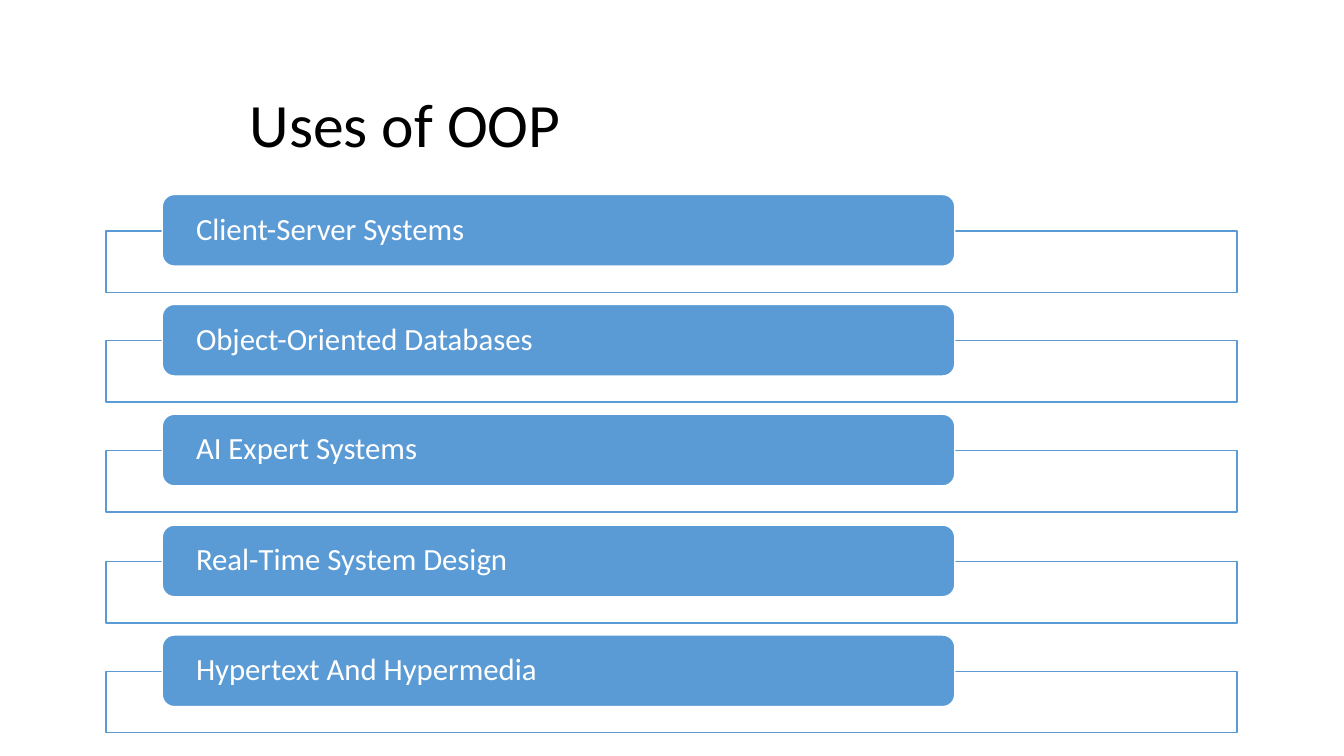
from dataclasses import dataclass

import pptx
import pptx.dml.color
import pptx.enum.shapes
import pptx.enum.text
import pptx.oxml
import pptx.oxml.ns
import pptx.util

PX = 9144
BLUE = "5B9BD5"
WHITE = "FFFFFF"
BLACK = "000000"
ROW_PITCH = 109.25
SHAPE = pptx.enum.shapes.MSO_SHAPE
ALIGN = pptx.enum.text.PP_ALIGN
ANCHOR = pptx.enum.text.MSO_ANCHOR


@dataclass
class Box:
    left: int
    top: int
    width: int
    height: int

    def emu(self) -> tuple:
        return tuple(n * PX for n in (self.left, self.top, self.width, self.height))

    def lowered(self, distance: int) -> "Box":
        return Box(self.left, self.top + distance, self.width, self.height)


@dataclass
class Use:
    name: str
    row: int


TITLE = Box(137, 30, 530, 135)
FRAME = Box(105, 229, 1122, 61)
PILL = Box(161, 193, 786, 71)
USES = [Use(name, row) for row, name in enumerate((
    "Client-Server Systems",
    "Object-Oriented Databases",
    "AI Expert Systems",
    "Real-Time System Design",
    "Hypertext And Hypermedia",
))]


def rgb(value: str) -> pptx.dml.color.RGBColor:
    return pptx.dml.color.RGBColor.from_string(value)


def write(sp, text: str, *, size: int, color: str, align=ALIGN.LEFT,
          anchor=ANCHOR.MIDDLE, insets: tuple = (10, 5, 10, 5)) -> None:
    tf = sp.text_frame
    tf.word_wrap = True
    tf.auto_size = pptx.enum.text.MSO_AUTO_SIZE.NONE
    tf.vertical_anchor = anchor
    tf.margin_left, tf.margin_top, tf.margin_right, tf.margin_bottom = (
        n * PX for n in insets)
    p = tf.paragraphs[0]
    p.alignment = align
    p.line_spacing = 0.9
    r = p.add_run()
    r.text = text
    r.font.name = "Calibri"
    r.font.size = pptx.util.Pt(size)
    r.font.color.rgb = rgb(color)


def add_box(slide, kind, box: Box, fill: str, line: str):
    sp = slide.shapes.add_shape(kind, *box.emu())
    sp.shadow.inherit = False
    sp.fill.solid()
    sp.fill.fore_color.rgb = rgb(fill)
    sp.line.color.rgb = rgb(line)
    sp.line.width = pptx.util.Pt(1)
    return sp


def set_opacity(sp, percent: int) -> None:
    color = sp.fill._xPr.find(pptx.oxml.ns.qn("a:solidFill"))[0]
    alpha = pptx.oxml.parse_xml(
        f'<a:alpha {pptx.oxml.ns.nsdecls("a")} val="{percent * 1000}"/>')
    color.append(alpha)


def add_use(slide, use: Use) -> None:
    drop = round(use.row * ROW_PITCH)
    frame = add_box(slide, SHAPE.RECTANGLE, FRAME.lowered(drop), WHITE, BLUE)
    set_opacity(frame, 90)
    pill = add_box(slide, SHAPE.ROUNDED_RECTANGLE, PILL.lowered(drop), BLUE, WHITE)
    write(pill, use.name, size=22, color=WHITE, insets=(30, 0, 30, 0))


def main() -> None:
    prs = pptx.Presentation()
    prs.slide_width, prs.slide_height = 1333 * PX, 750 * PX
    slide = prs.slides.add_slide(prs.slide_layouts[0])
    subtitle = slide.placeholders[1].element
    subtitle.getparent().remove(subtitle)
    title = slide.shapes.title
    title.left, title.top, title.width, title.height = TITLE.emu()
    write(title, "Uses of OOP", size=44, color=BLACK,
          align=ALIGN.CENTER, anchor=ANCHOR.BOTTOM)
    for use in USES:
        add_use(slide, use)
    prs.save("out.pptx")


if __name__ == "__main__":
    main()
